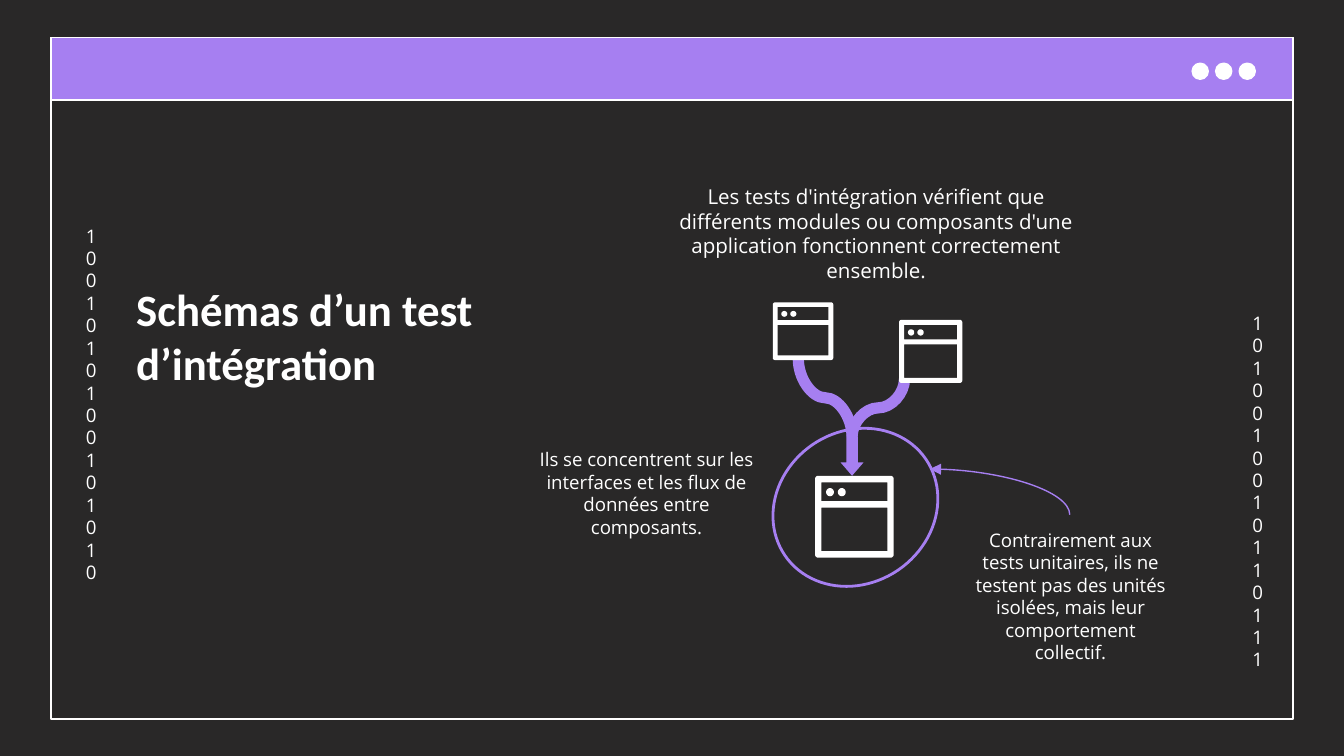
from math import cos, pi, sin

from pptx import Presentation
from pptx.dml.color import RGBColor
from pptx.enum.shapes import MSO_CONNECTOR as CONN, MSO_SHAPE as SHAPE
from pptx.enum.text import MSO_ANCHOR as ANCHOR, PP_ALIGN as ALIGN
from pptx.oxml.ns import qn
from pptx.util import Inches, Pt
from lxml.etree import SubElement

COLS = 100
WIDTH = Inches(10)
HEIGHT = WIDTH * 9 // 16
DARK, WHITE, PURPLE = "292828", "FFFFFF", "A67FF1"


def rgb(value):
    return RGBColor.from_string(value)


def grid(*cells):
    return [round(v * WIDTH / COLS) for v in cells]


def paint(sp, fill=None, line=None, weight=0.75):
    sp.shadow.inherit = False
    if fill:
        sp.fill.solid()
        sp.fill.fore_color.rgb = rgb(fill)
    else:
        sp.fill.background()
    if line:
        sp.line.color.rgb = rgb(line)
        sp.line.width = Pt(weight)
    else:
        sp.line.fill.background()
    return sp


def add_shape(s, kind, box, **style):
    return paint(s.shapes.add_shape(kind, *grid(*box)), **style)


def add_text(s, text, box, size=10, font="Open Sans", bold=False,
             align=ALIGN.CENTER, anchor=ANCHOR.TOP):
    tf = s.shapes.add_textbox(*grid(*box)).text_frame
    tf.word_wrap = True
    tf.vertical_anchor = anchor
    tf.margin_left = tf.margin_right = Inches(0.1)
    tf.margin_top = tf.margin_bottom = Inches(0.1)
    p = tf.paragraphs[0]
    p.alignment = align
    r = p.add_run()
    r.text = text
    r.font.size = Pt(size)
    r.font.name = font
    r.font.bold = bold
    r.font.color.rgb = rgb(WHITE)


def add_curve(s, box, turn, flip=False, weight=6, bends=3, arrow=False):
    x, y, w, h = grid(*box)
    c = s.shapes.add_connector(CONN.CURVE, x, y, x + w, y + h)
    c.line.color.rgb = rgb(PURPLE)
    c.line.width = Pt(weight)
    props = c._element.spPr
    xfrm = props.find(qn("a:xfrm"))
    xfrm.set("rot", str(turn * 60000))
    if flip:
        xfrm.set("flipH", "1")
    props.find(qn("a:prstGeom")).set("prst", f"curvedConnector{bends}")
    if arrow:
        SubElement(props.find(qn("a:ln")), qn("a:tailEnd"), type="triangle")
    SubElement(props, qn("a:effectLst"))


def arc(x, y, radius, start, end, steps):
    angles = [start + (end - start) * i / steps for i in range(steps + 1)]
    return [(x + radius * cos(a), y + radius * sin(a)) for a in angles]


def rectangle(left, top, right, bottom):
    return [(left, top), (right, top), (right, bottom), (left, bottom)]


def add_window(s, box):
    x, y, w, h = grid(*box)
    corners = [(960, 960), (40, 960), (40, 40), (960, 40)]
    outline = [point for i, (cx, cy) in enumerate(corners)
               for point in arc(cx, cy, 40, i * pi / 2, (i + 1) * pi / 2, 6)]
    contours = [outline, rectangle(80, 80, 920, 310),
                rectangle(80, 390, 920, 920)]
    contours += [arc(cx, 200, 50, 0, 2 * pi, 24) for cx in (190, 340)]
    builder = s.shapes.build_freeform(*outline[0], scale=(w / 1000, h / 1000))
    builder.add_line_segments(outline[1:])
    for contour in contours[1:]:
        builder.move_to(*contour[0])
        builder.add_line_segments(contour[1:])
    paint(builder.convert_to_shape(x, y), fill=WHITE)


def add_frame(s):
    add_shape(s, SHAPE.RECTANGLE, (3.8, 2.8, 92.4, 50.7), line=WHITE)
    add_shape(s, SHAPE.RECTANGLE, (3.8, 2.8, 92.4, 4.65), fill=PURPLE, line=WHITE)
    for i in range(3):
        add_shape(s, SHAPE.OVAL, (88.7 + 1.75 * i, 4.7, 1.2, 1.2),
                  fill=WHITE, line=WHITE)
    add_text(s, "1010010010110111", (92.2, 22.2, 2.4, 28))
    add_text(s, "1001010100101010", (5.4, 15.7, 2.4, 28))


def add_diagram(s):
    add_window(s, (60.65, 35.4, 5.85, 6.1))
    arrow = add_shape(s, SHAPE.DOWN_ARROW, (62.55, 32.5, 1.7, 2.9), fill=PURPLE)
    arrow.adjustments[1] = 0.58
    add_curve(s, (58.5, 27.6, 5.8, 4), 270, flip=True)
    add_curve(s, (63.2, 28.4, 4.3, 3.9), 90)
    add_window(s, (66.9, 23.8, 4.7, 4.7))
    add_window(s, (57.5, 22.5, 4.5, 4.3))
    ring = add_shape(s, SHAPE.OVAL, (57.3, 32.1, 12.7, 11.3),
                     line=PURPLE, weight=1.5)
    ring.rotation = 325.6
    add_curve(s, (72.7, 31.4, 3.4, 10.4), 90, flip=True, weight=0.75,
              bends=2, arrow=True)


def main():
    prs = Presentation()
    prs.slide_width, prs.slide_height = WIDTH, HEIGHT
    s = prs.slides.add_slide(prs.slide_layouts[6])
    s.background.fill.solid()
    s.background.fill.fore_color.rgb = rgb(DARK)
    add_frame(s)
    add_text(s, "Ils se concentrent sur les interfaces et les flux de données "
             "entre composants.", (38.25, 32.35, 19.7, 8.5))
    add_text(s, "Les tests d'intégration vérifient que différents modules ou "
             "composants d'une application fonctionnent correctement ensemble.",
             (48.4, 12.7, 33.6, 8.3), size=11)
    add_text(s, "Contrairement aux tests unitaires, ils ne testent pas des "
             "unités isolées, mais leur comportement collectif.",
             (71.2, 38.35, 16.9, 11.8))
    add_diagram(s)
    add_text(s, "Schémas d’un test d’intégration", (9.15, 18.95, 35.2, 11),
             size=24, font="Calibri", bold=True, align=ALIGN.LEFT,
             anchor=ANCHOR.BOTTOM)
    prs.save("out.pptx")


if __name__ == "__main__":
    main()
